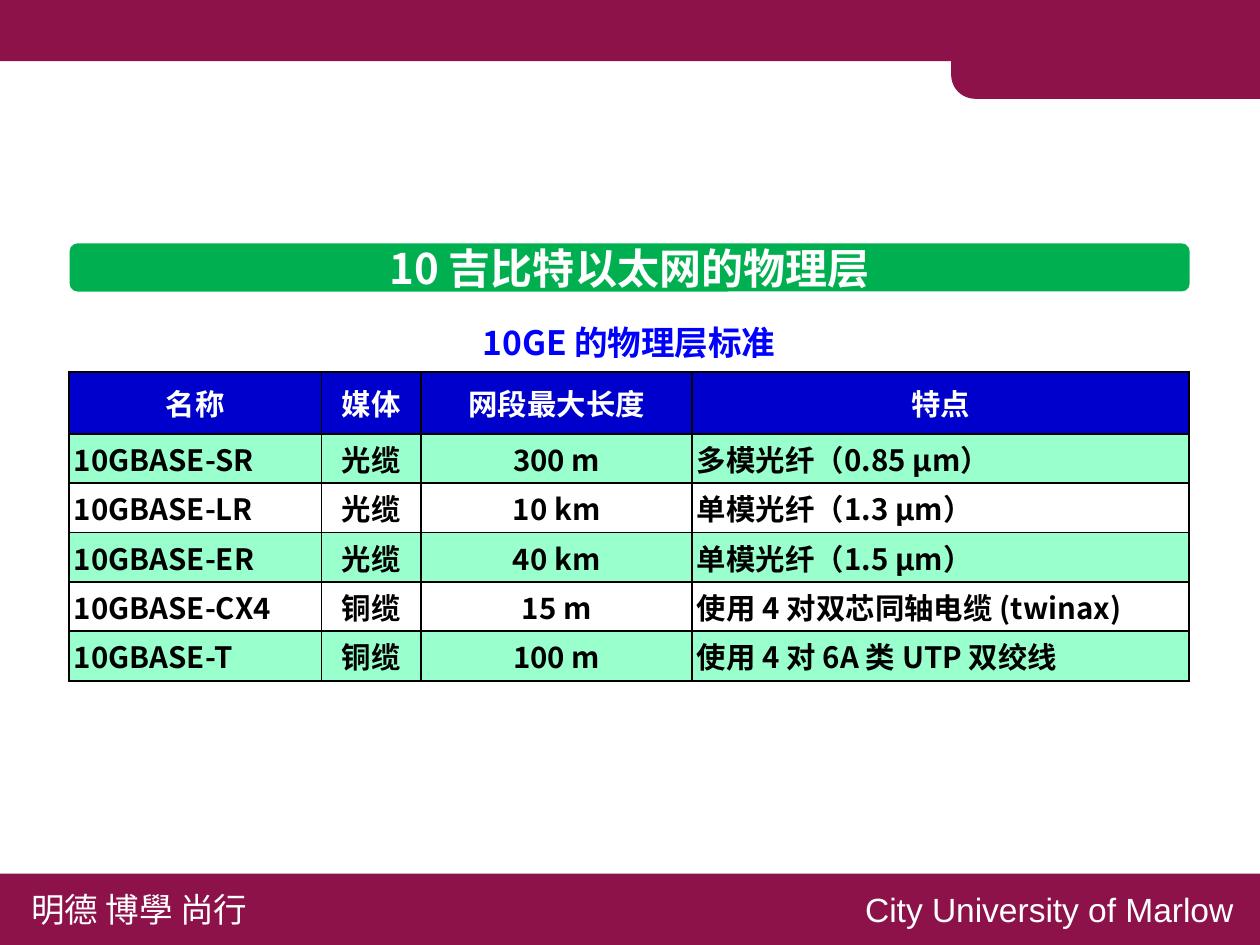
"""Slide on the physical layer standards of 10 gigabit Ethernet."""
import lxml.etree
import pptx
import pptx.dml.color
import pptx.enum.shapes
import pptx.enum.text
import pptx.oxml.ns
import pptx.util

Cm = pptx.util.Cm
ALIGN = pptx.enum.text.PP_ALIGN
MIDDLE = pptx.enum.text.MSO_ANCHOR.MIDDLE
SHAPE = pptx.enum.shapes.MSO_SHAPE
CJK = "Noto Sans CJK SC"
COLORS = {"maroon": "8D124A", "green": "00B050", "header": "0000CC", "mint": "99FFCC",
          "caption": "0000FF", "white": "FFFFFF", "black": "000000"}


def paint(fill, color):
    fill.solid()
    fill.fore_color.rgb = pptx.dml.color.RGBColor.from_string(COLORS[color])


def write(tf, text, size, color, align, bold=False, font=CJK):
    p = tf.paragraphs[0]
    p.text = text
    p.alignment = align
    p.font.size = pptx.util.Pt(size)
    p.font.bold = bold
    p.font.name = font
    paint(p.font.fill, color)
    ea = lxml.etree.SubElement(p.font._element, pptx.oxml.ns.qn("a:ea"))
    ea.set("typeface", font)


prs = pptx.Presentation()
prs.slide_width, prs.slide_height = Cm(21.17), Cm(15.88)
s = prs.slides.add_slide(prs.slide_layouts[5])

for kind, color, box in [
    (SHAPE.RECTANGLE, "maroon", (0, 0, 21.17, 1.03)),
    (SHAPE.ROUND_1_RECTANGLE, "maroon", (15.98, 0.05, 5.19, 1.61)),
    (SHAPE.RECTANGLE, "maroon", (0, 14.68, 21.17, 1.2)),
    (SHAPE.ROUNDED_RECTANGLE, "green", (1.17, 4.09, 18.82, 0.81)),
]:
    sp = s.shapes.add_shape(kind, *map(Cm, box))
    sp.shadow.inherit = False
    paint(sp.fill, color)
    sp.line.fill.background()
    if kind == SHAPE.ROUND_1_RECTANGLE:
        sp.rotation = 180
        sp.adjustments[0] = 0.25

title = s.shapes.title
title.left, title.top, title.width, title.height = map(Cm, (1.17, 4.09, 18.82, 0.81))
s.shapes._spTree.append(title._element)
tf = title.text_frame
tf.auto_size = pptx.enum.text.MSO_AUTO_SIZE.NONE
tf.vertical_anchor = MIDDLE
tf.margin_top = tf.margin_bottom = 0
write(tf, "10 吉比特以太网的物理层", 20, "white", ALIGN.CENTER, True)

for text, box, color, align, bold, font in [
    ("明德 博學 尚行", (0.28, 14.82, 4.27, 0.94), "white", ALIGN.LEFT, False, CJK),
    ("City University of Marlow", (12.98, 14.82, 8, 0.94), "white", ALIGN.RIGHT, False, "Arial"),
    ("10GE 的物理层标准", (7.79, 5.28, 5.56, 0.94), "caption", ALIGN.CENTER, True, CJK),
]:
    tf = s.shapes.add_textbox(*map(Cm, box)).text_frame
    tf.word_wrap = True
    write(tf, text, 16, color, align, bold, font)

rows = [
    ("名称", "媒体", "网段最大长度", "特点"),
    ("10GBASE-SR", "光缆", "300 m", "多模光纤（0.85 μm）"),
    ("10GBASE-LR", "光缆", "10 km", "单模光纤（1.3 μm）"),
    ("10GBASE-ER", "光缆", "40 km", "单模光纤（1.5 μm）"),
    ("10GBASE-CX4", "铜缆", "15 m", "使用 4 对双芯同轴电缆 (twinax)"),
    ("10GBASE-T", "铜缆", "100 m", "使用 4 对 6A 类 UTP 双绞线"),
]
table = s.shapes.add_table(len(rows), 4, Cm(1.16), Cm(6.25), Cm(18.82), Cm(5.19)).table
for column, width in zip(table.columns, (4.24, 1.68, 4.55, 8.35)):
    column.width = Cm(width)

for i, row in enumerate(rows):
    table.rows[i].height = Cm(0.83 if i else 1.04)
    for j, text in enumerate(row):
        cell = table.cell(i, j)
        cell.vertical_anchor = MIDDLE
        cell.margin_left = cell.margin_right = Cm(0.08)
        cell.margin_top = cell.margin_bottom = 0
        align = ALIGN.JUSTIFY if i and j in (0, 3) else ALIGN.CENTER
        write(cell.text_frame, text, 14, "black" if i else "white", align, True)
        tcPr = cell._tc.get_or_add_tcPr()
        for side in ("lnL", "lnR", "lnT", "lnB"):
            ln = lxml.etree.SubElement(tcPr, pptx.oxml.ns.qn("a:" + side), w="12700")
            solid = lxml.etree.SubElement(ln, pptx.oxml.ns.qn("a:solidFill"))
            lxml.etree.SubElement(solid, pptx.oxml.ns.qn("a:srgbClr"), val=COLORS["black"])
        paint(cell.fill, "header" if i == 0 else "mint" if i % 2 else "white")

prs.save("out.pptx")
